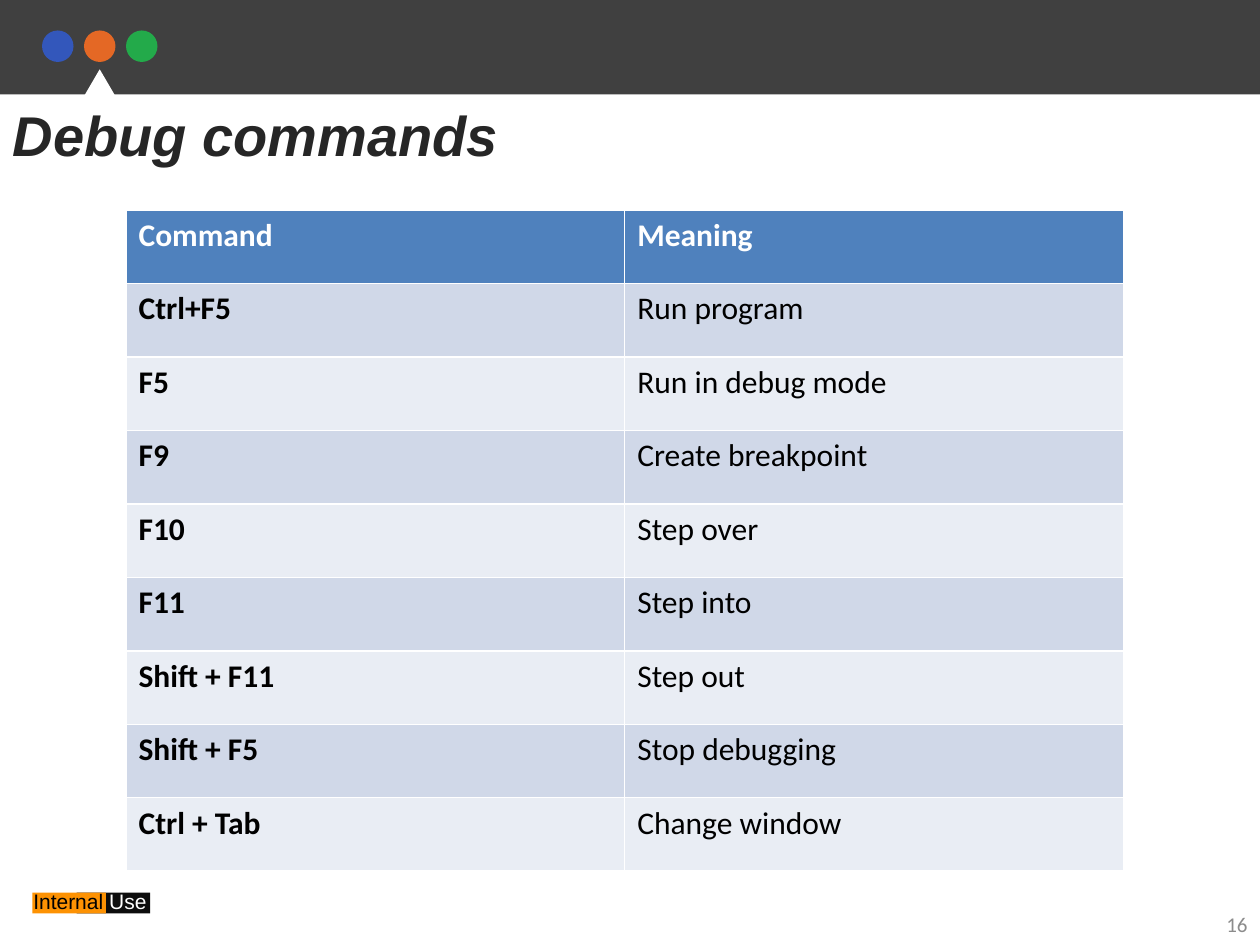
"""Build the slide that lists the debug commands."""
import pptx
import pptx.util
import pptx.dml.color
import pptx.enum.shapes
import pptx.enum.text

RGBColor = pptx.dml.color.RGBColor
Kind = pptx.enum.shapes.MSO_SHAPE
Align = pptx.enum.text.PP_ALIGN
Anchor = pptx.enum.text.MSO_ANCHOR

WHITE = RGBColor(255, 255, 255)
BLACK = RGBColor(0, 0, 0)
DARK = RGBColor(0x40, 0x40, 0x40)
INK = RGBColor(0x26, 0x26, 0x26)
GREY = RGBColor(0x8C, 0x8C, 0x8C)
COAL = RGBColor(0x0D, 0x0D, 0x0D)
AMBER = RGBColor(0xFD, 0x92, 0x03)
DOTS = [RGBColor(0x33, 0x57, 0xBB), RGBColor(0xE4, 0x68, 0x25), RGBColor(0x23, 0xAA, 0x4A)]
HEAD = RGBColor(0x4F, 0x81, 0xBD)
BANDS = [RGBColor(0xE9, 0xED, 0xF4), RGBColor(0xD0, 0xD8, 0xE8)]

PX = 914400 // 120
ROWS = [
    ("Command", "Meaning"),
    ("Ctrl+F5", "Run program"),
    ("F5", "Run in debug mode"),
    ("F9", "Create breakpoint"),
    ("F10", "Step over"),
    ("F11", "Step into"),
    ("Shift + F11", "Step out"),
    ("Shift + F5", "Stop debugging"),
    ("Ctrl + Tab", "Change window"),
]


def add_form(kind, box, color):
    form = slide.shapes.add_shape(kind, *[n * PX for n in box])
    form.shadow.inherit = False
    form.fill.solid()
    form.fill.fore_color.rgb = color
    form.line.fill.background()


def add_run(para, text, face, size, color, bold=False, italic=False):
    run = para.add_run()
    run.text = text
    run.font.name = face
    run.font.size = pptx.util.Pt(size)
    run.font.color.rgb = color
    run.font.bold = bold
    run.font.italic = italic


deck = pptx.Presentation()
deck.slide_width = 1200 * PX
deck.slide_height = 900 * PX
slide = deck.slides.add_slide(deck.slide_layouts[5])

add_form(Kind.RECTANGLE, (0, 0, 1200, 90), DARK)
for i, color in enumerate(DOTS):
    add_form(Kind.OVAL, (40 + 40 * i, 29, 30, 30), color)
add_form(Kind.ISOSCELES_TRIANGLE, (60, 66, 70, 60), WHITE)

add_form(Kind.RECTANGLE, (73, 850, 70, 20), COAL)
add_form(Kind.RECTANGLE, (31, 850, 70, 20), AMBER)
label = slide.shapes.add_textbox(20 * PX, 840 * PX, 180 * PX, 36 * PX).text_frame
label.word_wrap = True
add_run(label.paragraphs[0], "Internal ", "Arial", 12, BLACK)
add_run(label.paragraphs[0], "Use", "Arial", 12, WHITE)

page = slide.shapes.add_textbox(920 * PX, 860 * PX, 280 * PX, 40 * PX).text_frame
page.word_wrap = True
page.vertical_anchor = Anchor.MIDDLE
page.paragraphs[0].alignment = Align.RIGHT
add_run(page.paragraphs[0], "16", "Calibri", 12, GREY)

table = slide.shapes.add_table(len(ROWS), 2, 120 * PX, 200 * PX, 950 * PX, 630 * PX).table
for r, row in enumerate(ROWS):
    for c, text in enumerate(row):
        cell = table.cell(r, c)
        cell.fill.solid()
        cell.fill.fore_color.rgb = BANDS[r % 2] if r else HEAD
        ink = BLACK if r else WHITE
        add_run(cell.text_frame.paragraphs[0], text, "Calibri", 18, ink, r == 0 or c == 0)

title = slide.shapes.title
title.left, title.top, title.width, title.height = 0, 90 * PX, 940 * PX, 77 * PX
title.text_frame.vertical_anchor = Anchor.TOP
title.text_frame.paragraphs[0].alignment = Align.LEFT
add_run(title.text_frame.paragraphs[0], "Debug commands", "Arial", 32, INK, True, True)
slide.shapes.element.append(title.element)

deck.save("out.pptx")
